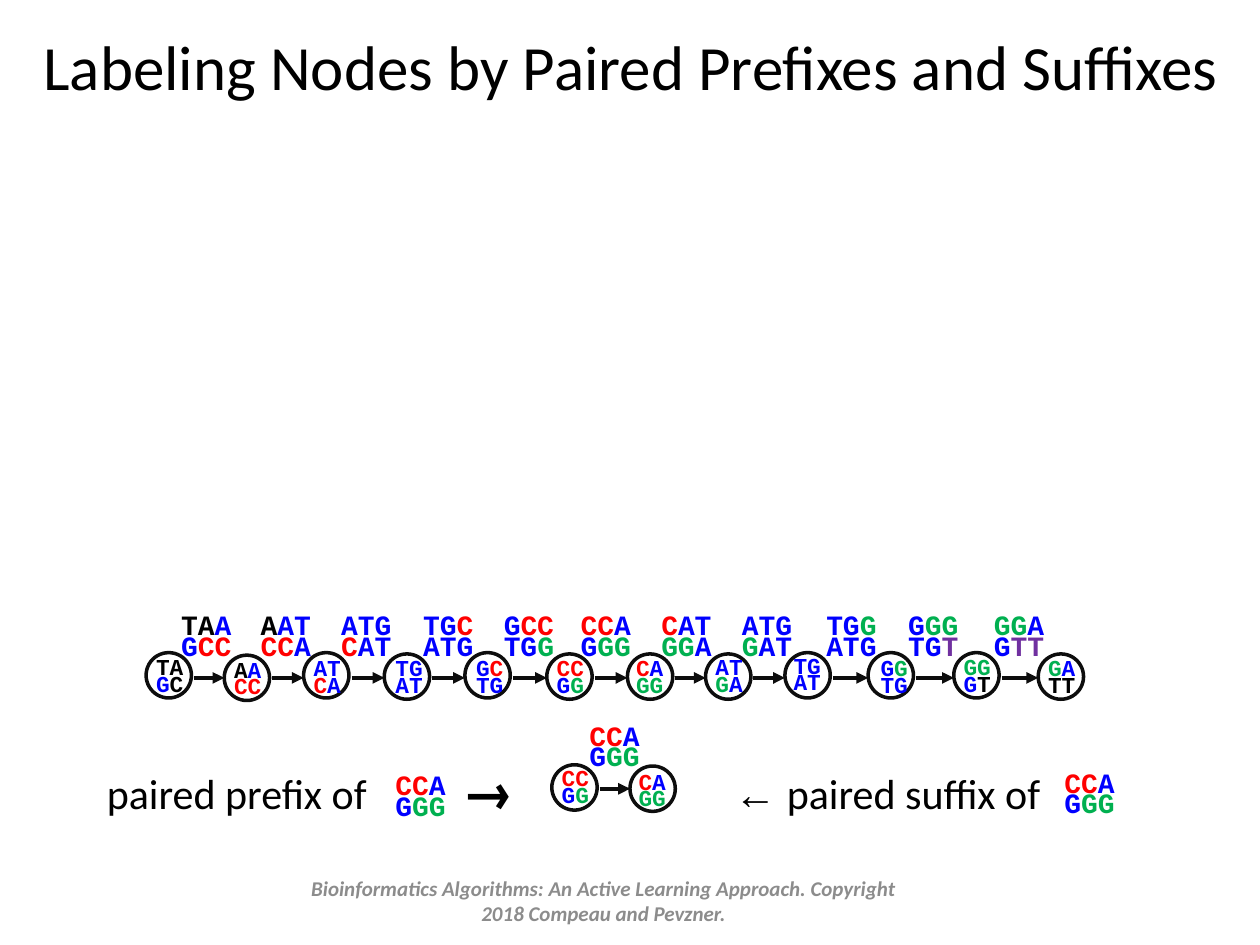
"""Build the slide on labeling nodes by paired prefixes and suffixes."""
import itertools

import lxml.etree
import pptx
import pptx.dml.color
import pptx.enum.shapes
import pptx.enum.text
import pptx.oxml.ns
import pptx.util
from pptx.util import Inches

BLACK, OUTLINE, GRAY = "000000", "0D0D0D", "8C8C8C"
LETTER_COLORS = {"K": BLACK, "B": "0000FF", "R": "FF0000", "G": "00B050", "P": "7030A0"}
NODE_SIZE = 0.36


def rgb(color):
    """Turn a hex string into a colour."""
    return pptx.dml.color.RGBColor.from_string(color)


def add_pair(left, top, size, letters, colors):
    """Add a two-line read pair with one colour code per letter."""
    width = 0.2 + len(letters.split()[0]) * size * 0.6 / 72
    height = 0.42 if size == 16 else 0.36
    box = slide.shapes.add_textbox(Inches(left), Inches(top), Inches(width), Inches(height))
    frame = box.text_frame
    frame.word_wrap = False
    frame.text = "\n".join(letters.split())
    for paragraph, line, codes in zip(frame.paragraphs, letters.split(), colors.split()):
        paragraph.text = ""
        paragraph.line_spacing = 0.6
        for code, group in itertools.groupby(zip(line, codes), key=lambda item: item[1]):
            run = paragraph.add_run()
            run.text = "".join(letter for letter, _ in group)
            run.font.name = "Courier New"
            run.font.size = pptx.util.Pt(size)
            run.font.bold = True
            run.font.color.rgb = rgb(LETTER_COLORS[code])


presentation = pptx.Presentation()
presentation.slide_width = Inches(10)
presentation.slide_height = Inches(7.5)
slide = presentation.slides.add_slide(presentation.slide_layouts[5])

title = slide.shapes.title
title.left, title.top, title.width, title.height = Inches(0.01), Inches(0.17), Inches(9.99), Inches(0.71)
title.text_frame.text = "Labeling Nodes by Paired Prefixes and Suffixes"
title.text_frame.vertical_anchor = pptx.enum.text.MSO_ANCHOR.TOP
title_font = title.text_frame.paragraphs[0].runs[0].font
title_font.name = "Calibri"
title_font.size = pptx.util.Pt(36)
title_font.color.rgb = rgb(BLACK)

caption = slide.shapes.add_textbox(Inches(0.75), Inches(6.08), Inches(8.5), Inches(0.48))
caption.text_frame.word_wrap = True
paragraph = caption.text_frame.paragraphs[0]
paragraph.line_spacing = 0.8
properties = paragraph._p.get_or_add_pPr()
tab_list = lxml.etree.SubElement(properties, pptx.oxml.ns.qn("a:tabLst"))
for position in (2.84, 4.98):
    tab = lxml.etree.SubElement(tab_list, pptx.oxml.ns.qn("a:tab"))
    tab.set("pos", str(Inches(position)))
    tab.set("algn", "l")
for text, font_name, size, bold in [
    ("paired prefix of\t", "Calibri", 24, False),
    ("→", "TeX Gyre Bonum", 28, True),
    ("\t", "Calibri", 24, False),
    ("← ", "Times New Roman", 24, False),
    ("paired suffix of", "Calibri", 24, False),
]:
    run = paragraph.add_run()
    run.text = text
    run.font.name = font_name
    run.font.size = pptx.util.Pt(size)
    run.font.bold = bold
    run.font.color.rgb = rgb(BLACK)

genome_nodes = [
    (1.16, 5.18, 1.14, 5.21, "TA GC", "KK BK"),
    (1.78, 5.20, 1.76, 5.23, "AA CC", "KB RR"),
    (2.41, 5.18, 2.39, 5.22, "AT CA", "BB RB"),
    (3.05, 5.19, 3.04, 5.22, "TG AT", "BB BB"),
    (3.69, 5.18, 3.68, 5.22, "GC TG", "BR BB"),
    (4.34, 5.19, 4.32, 5.22, "CC GG", "RR BG"),
    (4.98, 5.19, 4.95, 5.22, "CA GG", "RB GG"),
    (5.60, 5.19, 5.58, 5.21, "AT GA", "BB GB"),
    (6.23, 5.18, 6.20, 5.20, "TG AT", "BB BB"),
    (6.89, 5.18, 6.89, 5.22, "GG TG", "BG BB"),
    (7.57, 5.18, 7.55, 5.21, "GG GT", "GG BK"),
    (8.24, 5.19, 8.22, 5.22, "GA TT", "GB KK"),
]
example_nodes = [
    (4.38, 6.07, 4.36, 6.09, "CC GG", "RR BG"),
    (5.00, 6.08, 4.97, 6.12, "CA GG", "RB GG"),
]
for arrow_y, nodes in [(5.38, genome_nodes), (6.26, example_nodes)]:
    for node, next_node in zip(nodes, nodes[1:]):
        arrow = slide.shapes.add_connector(
            pptx.enum.shapes.MSO_CONNECTOR.STRAIGHT,
            Inches(node[0] + 0.38), Inches(arrow_y), Inches(next_node[0]), Inches(arrow_y),
        )
        arrow.line.color.rgb = rgb(OUTLINE)
        arrow.line.width = pptx.util.Pt(2.25)
        arrow_line = arrow.line._get_or_add_ln()
        lxml.etree.SubElement(arrow_line, pptx.oxml.ns.qn("a:tailEnd")).set("type", "triangle")
        lxml.etree.SubElement(arrow._element.spPr, pptx.oxml.ns.qn("a:effectLst"))
    for left, top, text_left, text_top, letters, colors in nodes:
        circle = slide.shapes.add_shape(
            pptx.enum.shapes.MSO_SHAPE.OVAL,
            Inches(left), Inches(top), Inches(NODE_SIZE), Inches(NODE_SIZE),
        )
        circle.shadow.inherit = False
        circle.fill.background()
        circle.line.color.rgb = rgb(OUTLINE)
        circle.line.width = pptx.util.Pt(2)
        add_pair(text_left, text_top, 13, letters, colors)

edge_labels = [
    (1.34, "TAA GCC", "KKB BRR"),
    (1.97, "AAT CCA", "KBB RRB"),
    (2.61, "ATG CAT", "BBB RBB"),
    (3.26, "TGC ATG", "BBR BBB"),
    (3.90, "GCC TGG", "BRR BBG"),
    (4.51, "CCA GGG", "RRB BGG"),
    (5.15, "CAT GGA", "RBB GGB"),
    (5.79, "ATG GAT", "BBB GBB"),
    (6.46, "TGG ATG", "BBG BBB"),
    (7.11, "GGG TGT", "BGG BBP"),
    (7.79, "GGA GTT", "GGB BPP"),
]
for left, letters, colors in edge_labels:
    add_pair(left, 4.87, 16, letters, colors)
for left, top in [(4.58, 5.75), (8.35, 6.12), (3.04, 6.14)]:
    add_pair(left, top, 16, "CCA GGG", "RRB BGG")

footer = slide.shapes.add_textbox(Inches(2.25), Inches(6.95), Inches(5.08), Inches(0.4))
footer.text_frame.word_wrap = True
footer.text_frame.vertical_anchor = pptx.enum.text.MSO_ANCHOR.MIDDLE
footer.text_frame.text = (
    "Bioinformatics Algorithms: An Active Learning Approach. Copyright 2018 Compeau and Pevzner."
)
paragraph = footer.text_frame.paragraphs[0]
paragraph.alignment = pptx.enum.text.PP_ALIGN.CENTER
footer_font = paragraph.runs[0].font
footer_font.name = "Calibri"
footer_font.size = pptx.util.Pt(12)
footer_font.bold = True
footer_font.italic = True
footer_font.color.rgb = rgb(GRAY)

presentation.save("out.pptx")
